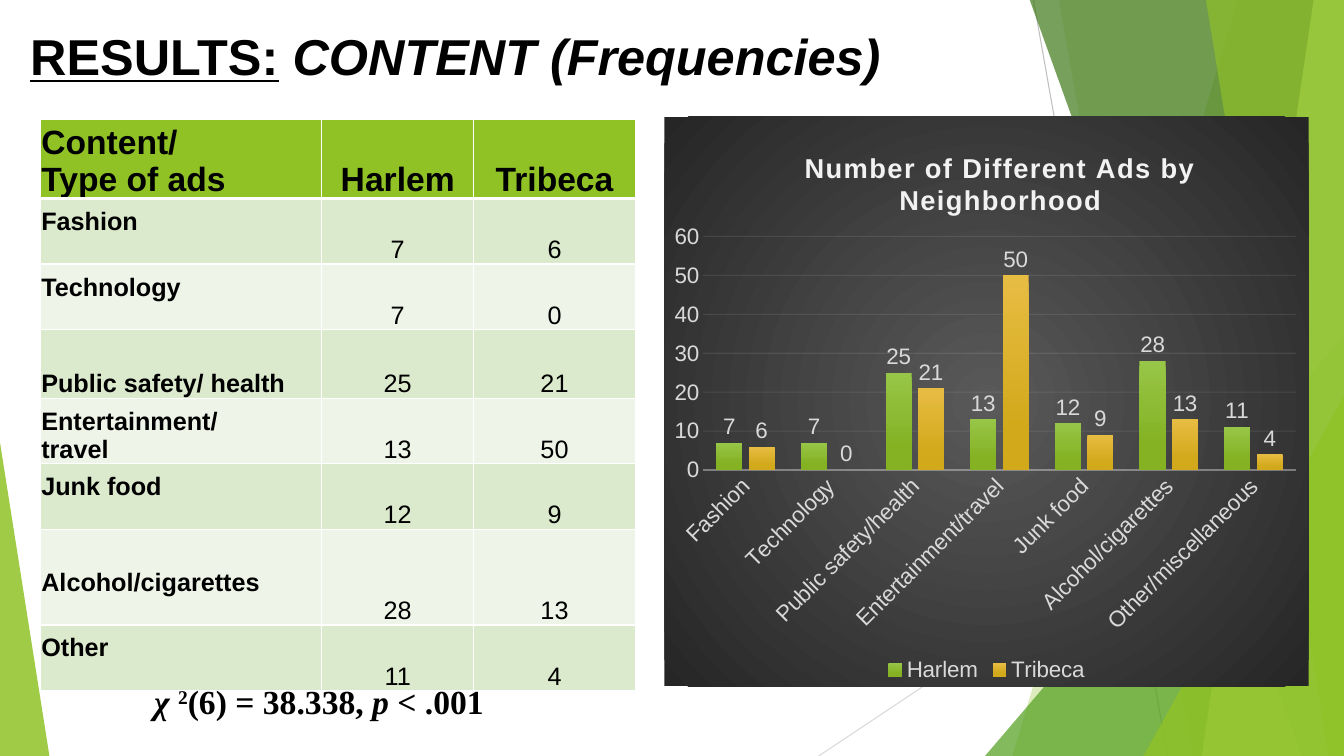
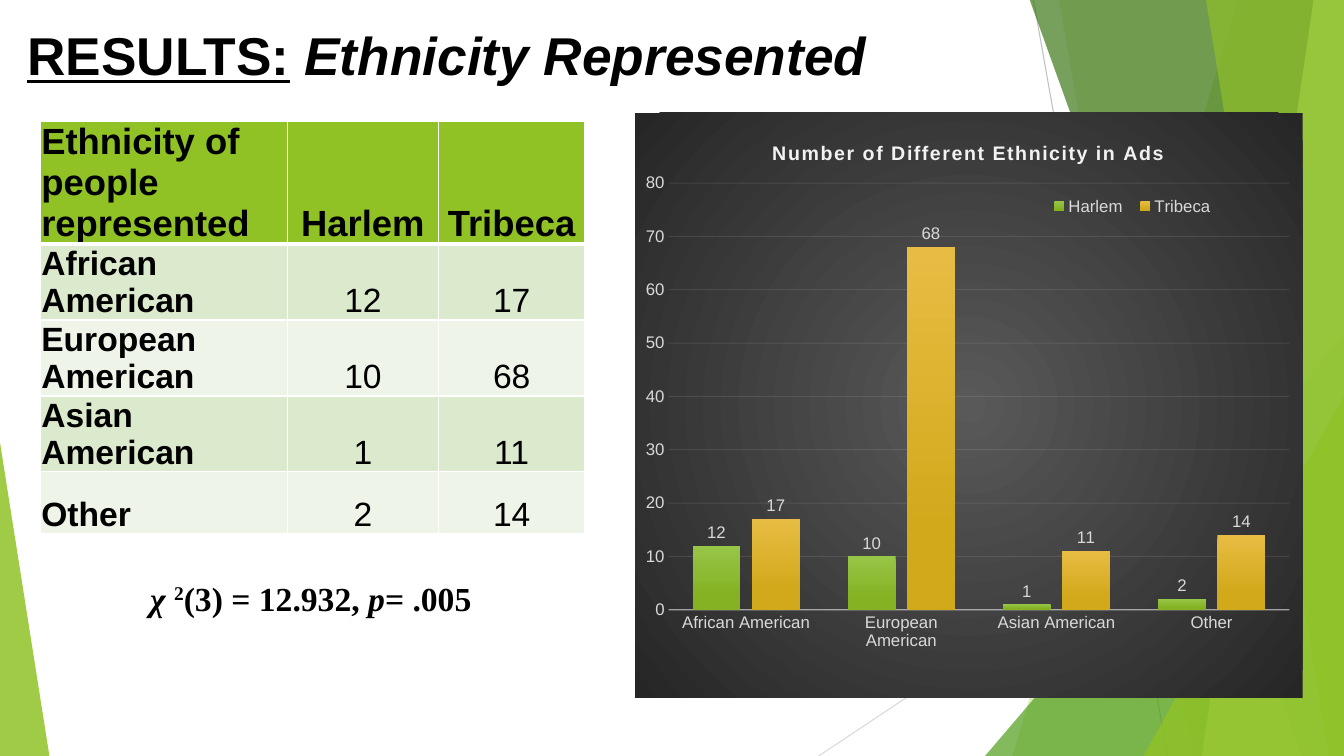
from dataclasses import dataclass

from lxml.etree import SubElement
from pptx import Presentation
from pptx.chart.data import CategoryChartData
from pptx.dml.color import RGBColor
from pptx.enum.chart import XL_CHART_TYPE as ChartType
from pptx.enum.chart import XL_LABEL_POSITION as LabelPosition
from pptx.enum.chart import XL_LEGEND_POSITION as LegendPosition
from pptx.enum.chart import XL_TICK_MARK as TickMark
from pptx.enum.shapes import MSO_CONNECTOR as Connector
from pptx.enum.shapes import MSO_SHAPE as Shape
from pptx.enum.text import MSO_ANCHOR as Anchor
from pptx.enum.text import MSO_AUTO_SIZE as AutoSize
from pptx.enum.text import PP_ALIGN as Align
from pptx.oxml import parse_xml
from pptx.oxml.ns import nsdecls, qn
from pptx.util import Pt

PX = 9144  # 100 px to the inch
WIDTH, HEIGHT = 1333, 750
SANS, SERIF = "Arial", "Times New Roman"
COLORS = {
    "black": "000000", "white": "FFFFFF", "green": "90C226",
    "leaf": "54A021", "forest": "3F7819", "lime": "C0E474",
    "band": "DBE9CD", "pale": "EEF4E8",
    "upper_line": "BFBFBF", "lower_line": "D9D9D9",
    "chart_text": "D9D9D9", "chart_light": "F2F2F2",
    "chart_center": "595959", "chart_edge": "262626",
}
SERIES = {"Harlem": ("97C547", "84B223"), "Tribeca": ("E7BC43", "D2A91B")}
LIFT = 28  # raises a one-line row label above its numbers


@dataclass
class Line:
    start: tuple[int, int]
    end: tuple[int, int]
    color: str


@dataclass
class Band:
    """A full-height band from its left edge to the right side of the slide."""
    top_x: int
    bottom_x: int
    color: str
    opacity: int


@dataclass
class Triangle:
    box: tuple[int, int, int, int]
    apex: int
    color: str
    opacity: int


@dataclass
class Row:
    label: str
    category: str
    values: tuple[int, int]
    height: int
    lift: int = 0


@dataclass
class ChartStyle:
    box: tuple[int, int, int, int]
    title: str
    title_size: float
    size: int
    maximum: int
    title_at: tuple[float, ...]
    plot_at: tuple[float, ...]
    legend_at: tuple[float, ...] = ()
    label_angle: int = 0


@dataclass
class Result:
    subject: str
    title_at: int
    title_size: int
    header: str
    header_height: int
    header_size: int
    body_size: int
    table_top: int
    columns: tuple[int, ...]
    rows: list[Row]
    chart: ChartStyle
    statistic: tuple[str, str, str]
    statistic_at: tuple[int, int]


BACKDROP = [
    Line((1025, 0), (1158, 750), "upper_line"),
    Line((1333, 403), (812, 750), "lower_line"),
    Band(1228, 1004, "green", 30),
    Band(1050, 1183, "green", 20),
    Triangle((977, 333, 356, 417), 1, "leaf", 72),
    Band(1021, 1291, "forest", 70),
    Band(1303, 1192, "lime", 70),
    Band(1196, 1318, "green", 65),
    Triangle((1134, 393, 199, 357), 1, "green", 80),
    Triangle((0, 439, 49, 311), 0, "green", 85),
]

RESULTS = [
    Result(
        "CONTENT (Frequencies)", 20, 36, "Content/\nType of ads", 79, 24, 18, 118,
        (279, 151, 160),
        [
            Row("Fashion", "Fashion", (7, 6), 65, LIFT),
            Row("Technology", "Technology", (7, 0), 65, LIFT),
            Row("Public safety/ health", "Public safety/health", (25, 21), 68),
            Row("Entertainment/\ntravel", "Entertainment/travel", (13, 50), 65),
            Row("Junk food", "Junk food", (12, 9), 65, LIFT),
            Row("Alcohol/cigarettes", "Alcohol/cigarettes", (28, 13), 95, LIFT),
            Row("Other", "Other/miscellaneous", (11, 4), 65, LIFT),
        ],
        ChartStyle((659, 116, 639, 565), "Number of Different Ads by Neighborhood",
                   19.5, 16, 60, (0.21, 0.05), (0.06, 0.21, 0.92, 0.41),
                   label_angle=-45),
        ("(6) = 38.338, ", "p ", "< .001"), (143, 671),
    ),
    Result(
        "Ethnicity Represented", 17, 38, "Ethnicity of people represented", 121, 26, 24,
        120, (245, 150, 145),
        [
            Row("African American", "African American", (12, 17), 75),
            Row("European American", "European American", (10, 68), 75),
            Row("Asian American", "Asian American", (1, 11), 75),
            Row("Other", "Other", (2, 14), 61),
        ],
        ChartStyle((630, 112, 662, 580), "Number of Different Ethnicity in Ads",
                   14, 12, 80, (0.2, 0.04), (0.05, 0.12, 0.93, 0.73),
                   (0.61, 0.14, 0.27, 0.04)),
        ("(3) = 12.932, ", "p", "= .005"), (139, 568),
    ),
]


def px(*lengths: int) -> list[int]:
    return [length * PX for length in lengths]


def rgb(name: str) -> RGBColor:
    return RGBColor.from_string(COLORS[name])


def set_opacity(element, percent: int) -> None:
    for color in element.iter(qn("a:srgbClr")):
        SubElement(color, qn("a:alpha")).set("val", str(percent * 1000))


def style_font(font, size: float, color: str, name: str = SANS, bold: bool = False) -> None:
    font.name, font.size, font.bold = name, Pt(size), bold
    font.color.rgb = rgb(color)


def add_run(paragraph, text: str, size: float, bold: bool = True, italic: bool = False,
            name: str = SANS, color: str = "black"):
    run = paragraph.add_run()
    run.text = text
    style_font(run.font, size, color, name, bold)
    run.font.italic = italic
    return run


def draw_line(shapes, line: Line) -> None:
    connector = shapes.add_connector(Connector.STRAIGHT, *px(*line.start, *line.end))
    connector.line.color.rgb = rgb(line.color)
    connector.line.width = Pt(0.75)
    SubElement(connector._element.find(qn("p:spPr")), qn("a:effectLst"))


def draw_facet(shapes, facet: Band | Triangle) -> None:
    if isinstance(facet, Band):
        builder = shapes.build_freeform(facet.top_x, -1, scale=PX)
        builder.add_line_segments([(WIDTH, -1), (WIDTH, HEIGHT), (facet.bottom_x, HEIGHT)])
        shape = builder.convert_to_shape()
    else:
        shape = shapes.add_shape(Shape.ISOSCELES_TRIANGLE, *px(*facet.box))
        shape.adjustments[0] = facet.apex
    shape.shadow.inherit = False
    shape.fill.solid()
    shape.fill.fore_color.rgb = rgb(facet.color)
    set_opacity(shape._element.find(qn("p:spPr")), facet.opacity)
    shape.line.fill.background()


def add_backdrop(slide) -> None:
    """Draw the backdrop as a group and move it to the layout, so all slides share it."""
    group = slide.shapes.add_group_shape()
    for part in BACKDROP:
        draw = draw_line if isinstance(part, Line) else draw_facet
        draw(group.shapes, part)
    for number, properties in enumerate(group._element.iter(qn("p:cNvPr")), start=100):
        properties.set("id", str(number))
    slide.slide_layout.shapes._spTree.append(group._element)


def add_title(slide, result: Result) -> None:
    title = slide.shapes.title
    title.left, title.top, title.width, title.height = px(
        result.title_at, result.title_at, 1150, 145)
    frame = title.text_frame
    frame.vertical_anchor, frame.auto_size = Anchor.TOP, AutoSize.NONE
    paragraph = frame.paragraphs[0]
    paragraph.alignment = Align.LEFT
    add_run(paragraph, "RESULTS:", result.title_size).font.underline = True
    add_run(paragraph, " ", result.title_size)
    add_run(paragraph, result.subject, result.title_size, italic=True)


def style_cell(cell, fill: str, top: int, bottom: int) -> None:
    """Fill a cell and give it white borders; top and bottom are widths in points."""
    properties = cell._tc.get_or_add_tcPr()
    for side, width in (("L", 1), ("R", 1), ("T", top), ("B", bottom)):
        properties.append(parse_xml(
            f'<a:ln{side} {nsdecls("a")} w="{Pt(width)}"><a:solidFill>'
            f'<a:srgbClr val="{COLORS["white"]}"/></a:solidFill></a:ln{side}>'))
    cell.fill.solid()
    cell.fill.fore_color.rgb = rgb(fill)


def add_table(slide, result: Result) -> None:
    rows = [Row(result.header, "", tuple(SERIES), result.header_height), *result.rows]
    height = sum(row.height for row in rows)
    table = slide.shapes.add_table(
        len(rows), len(result.columns),
        *px(40, result.table_top, sum(result.columns), height)).table
    table.horz_banding = False
    for column, width in zip(table.columns, px(*result.columns)):
        column.width = width
    for index, row in enumerate(rows):
        table.rows[index].height = row.height * PX
        is_header = index == 0
        fill = "green" if is_header else ("pale", "band")[index % 2]
        for column, text in enumerate((row.label, *row.values)):
            cell = table.cell(index, column)
            style_cell(cell, fill, 3 if index == 1 else 1, 3 if is_header else 1)
            cell.vertical_anchor = Anchor.BOTTOM
            cell.margin_left = cell.margin_top = cell.margin_right = PX
            cell.margin_bottom = 0 if column else row.lift * PX
            for number, line in enumerate(str(text).split("\n")):
                frame = cell.text_frame
                paragraph = frame.add_paragraph() if number else frame.paragraphs[0]
                paragraph.alignment = Align.CENTER if column else Align.LEFT
                add_run(paragraph, line, result.header_size if is_header else result.body_size,
                        bold=is_header or column == 0)


def place(element, position: int, fractions: tuple[float, ...], inner: bool = False) -> None:
    """Give a chart part a manual layout as fractions of the chart."""
    for old in element.findall(qn("c:layout")):
        element.remove(old)
    names = ["xMode", "yMode", "x", "y", "w", "h"]
    values = ["edge", "edge", *fractions]
    target = '<c:layoutTarget val="inner"/>' if inner else ""
    items = "".join(f'<c:{name} val="{value}"/>' for name, value in zip(names, values))
    element.insert(position, parse_xml(
        f'<c:layout {nsdecls("c")}><c:manualLayout>{target}{items}</c:manualLayout></c:layout>'))


def style_chart_line(line, width: float) -> None:
    line.color.rgb = rgb("chart_light")
    line.width = Pt(width)


def style_axes(chart, style: ChartStyle) -> None:
    category, value = chart.category_axis, chart.value_axis
    for axis in (category, value):
        axis.major_tick_mark = axis.minor_tick_mark = TickMark.NONE
        style_font(axis.tick_labels.font, style.size, "chart_text")
    style_chart_line(category.format.line, 1)
    set_opacity(category._element.find(qn("c:spPr")), 54)
    if style.label_angle:
        body = category._element.find(qn("c:txPr")).find(qn("a:bodyPr"))
        body.set("rot", str(style.label_angle * 60000))
    value.minimum_scale, value.maximum_scale, value.major_unit = 0, style.maximum, 10
    value.format.line.fill.background()
    style_chart_line(value.major_gridlines.format.line, 0.75)
    set_opacity(value._element.find(qn("c:majorGridlines")), 10)


def style_series(plot, size: int) -> None:
    plot.gap_width, plot.overlap, plot.vary_by_categories = 100, -24, False
    for series, shades in zip(plot.series, SERIES.values()):
        fill = series.format.fill
        fill.gradient()
        fill.gradient_angle = 270
        for stop, shade, position in zip(fill.gradient_stops, shades, (0, 0.78)):
            stop.color.rgb = RGBColor.from_string(shade)
            stop.position = position
        labels = series.data_labels
        labels.show_value, labels.position = True, LabelPosition.OUTSIDE_END
        style_font(labels.font, size, "chart_text")


def add_chart(slide, style: ChartStyle, rows: list[Row]) -> None:
    data = CategoryChartData()
    data.categories = [row.category for row in rows]
    for index, name in enumerate(SERIES):
        data.add_series(name, [row.values[index] for row in rows])
    chart = slide.shapes.add_chart(ChartType.COLUMN_CLUSTERED, *px(*style.box), data).chart
    style_font(chart.font, style.size, "black")
    chart.has_title = True
    paragraph = chart.chart_title.text_frame.paragraphs[0]
    run = add_run(paragraph, style.title, style.title_size, color="chart_light")
    run._r.get_or_add_rPr().set("spc", "100")
    place(chart.chart_title._element, 1, style.title_at)
    chart.has_legend = True
    chart.legend.position = LegendPosition.BOTTOM
    chart.legend.include_in_layout = False
    style_font(chart.legend.font, style.size, "chart_text")
    if style.legend_at:
        place(chart.legend._element, 1, style.legend_at)
    style_axes(chart, style)
    style_series(chart.plots[0], style.size)
    body = chart._chartSpace.find(qn("c:chart"))
    place(body.find(qn("c:plotArea")), 0, style.plot_at, inner=True)
    body.addnext(parse_xml(
        f'<c:spPr {nsdecls("c", "a")}><a:gradFill><a:gsLst>'
        f'<a:gs pos="0"><a:srgbClr val="{COLORS["chart_center"]}"/></a:gs>'
        f'<a:gs pos="100000"><a:srgbClr val="{COLORS["chart_edge"]}"/></a:gs></a:gsLst>'
        '<a:path path="circle"><a:fillToRect l="50000" t="50000" r="50000" b="50000"/></a:path>'
        '</a:gradFill><a:ln><a:noFill/></a:ln></c:spPr>'))


def add_statistic(slide, result: Result) -> None:
    frame = slide.shapes.add_textbox(*px(*result.statistic_at, 453, 50)).text_frame
    frame.word_wrap = True
    frame.auto_size = AutoSize.SHAPE_TO_FIT_TEXT
    value, letter, level = result.statistic
    for text, italic in (("χ ", True), ("2", False), (value, False), (letter, True), (level, False)):
        run = add_run(frame.paragraphs[0], text, 24, italic=italic, name=SERIF)
        if text == "2":
            run._r.get_or_add_rPr().set("baseline", "30000")


def main() -> None:
    presentation = Presentation()
    presentation.slide_width, presentation.slide_height = px(WIDTH, HEIGHT)
    layout = presentation.slide_layouts[5]
    for index, result in enumerate(RESULTS):
        slide = presentation.slides.add_slide(layout)
        if index == 0:
            add_backdrop(slide)
        add_title(slide, result)
        add_table(slide, result)
        add_chart(slide, result.chart, result.rows)
        add_statistic(slide, result)
    presentation.save("out.pptx")


if __name__ == "__main__":
    main()
